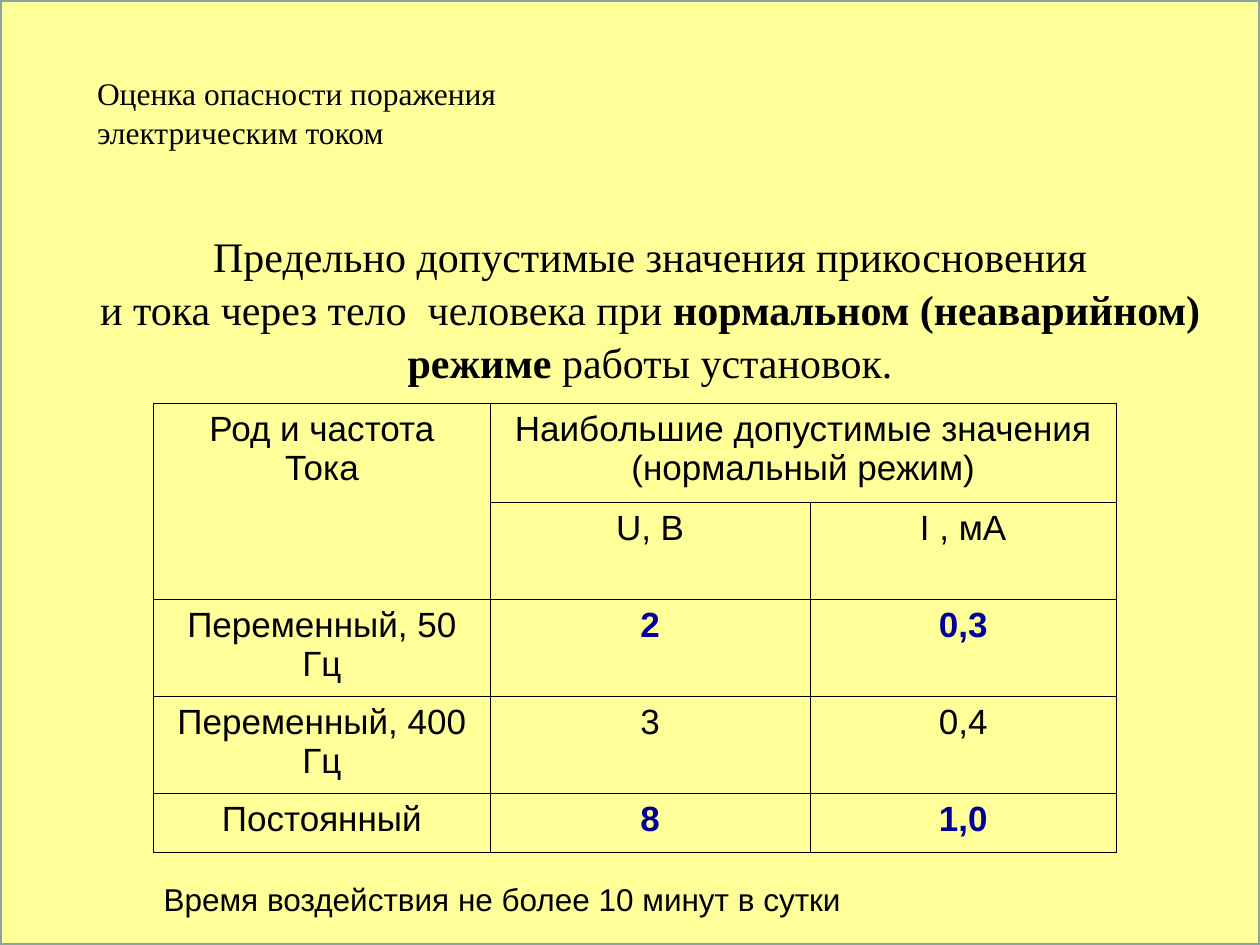
import pptx
import pptx.util
import pptx.oxml
import pptx.dml.color
import pptx.enum.shapes
import pptx.enum.text
from lxml import etree
from pptx.util import Inches

COLORS = {"paper": "FFFF99", "frame": "89A4A7", "text": "000000", "accent": "000099"}
SERIF, SANS = "Times New Roman", "Arial"
ALIGN = pptx.enum.text.PP_ALIGN
ANCHOR = pptx.enum.text.MSO_ANCHOR

TITLE = [[("Оценка опасности поражения", False)], [("электрическим током", False)]]
SUBJECT = [
    [("Предельно допустимые значения прикосновения", False)],
    [
        ("и тока через тело  человека при ", False),
        ("нормальном (неаварийном) режиме", True),
        (" работы установок.", False),
    ],
]
NOTE = [[("Время воздействия не более 10 минут в сутки", False)]]
TABLE_ROWS = [
    ["Род и частота\nТока", "Наибольшие допустимые значения (нормальный режим)", ""],
    ["", "U, В", "I , мА"],
    ["Переменный, 50 Гц", "2", "0,3"],
    ["Переменный, 400 Гц", "3", "0,4"],
    ["Постоянный", "8", "1,0"],
]
COLUMN_WIDTHS = [2.67, 2.54, 2.43]
ROW_HEIGHTS = [0.79, 0.77, 0.77, 0.77, 0.47]
MERGES = [((0, 0), (1, 0)), ((0, 1), (0, 2))]
ACCENT_ROWS = (2, 4)


def rgb(name):
    return pptx.dml.color.RGBColor.from_string(COLORS[name])


def write(frame, paragraphs, font, size, align, spacing=1.0, color="text"):
    for index, runs in enumerate(paragraphs):
        paragraph = frame.paragraphs[0] if index == 0 else frame.add_paragraph()
        paragraph.alignment = align
        paragraph.line_spacing = spacing
        paragraph.space_before = pptx.util.Pt(0)
        for text, bold in runs:
            run = paragraph.add_run()
            run.text = text
            run.font.name = font
            run.font.size = pptx.util.Pt(size)
            run.font.bold = bold
            run.font.color.rgb = rgb(color)


def place_text(shape, box, paragraphs, font, size, align, anchor=ANCHOR.TOP, wrap=True):
    shape.left, shape.top, shape.width, shape.height = map(Inches, box)
    frame = shape.text_frame
    frame.word_wrap = wrap
    frame.auto_size = pptx.enum.text.MSO_AUTO_SIZE.NONE
    frame.vertical_anchor = anchor
    write(frame, paragraphs, font, size, align, spacing=1.05)


def outline_cell(cell):
    properties = cell._tc.get_or_add_tcPr()
    for index, side in enumerate("LRTB"):
        line = etree.Element(pptx.oxml.ns.qn(f"a:ln{side}"), w=str(pptx.util.Pt(0.45)))
        fill = etree.SubElement(line, pptx.oxml.ns.qn("a:solidFill"))
        etree.SubElement(fill, pptx.oxml.ns.qn("a:srgbClr"), val=COLORS["text"])
        properties.insert(index, line)


def add_background(slide, width, height):
    shape = slide.shapes.add_shape(
        pptx.enum.shapes.MSO_SHAPE.RECTANGLE, 0, 0, width, height
    )
    shape.shadow.inherit = False
    shape.fill.solid()
    shape.fill.fore_color.rgb = rgb("paper")
    shape.line.color.rgb = rgb("frame")
    shape.line.width = pptx.util.Pt(2)
    return shape


def add_limits_table(slide):
    graphic = slide.shapes.add_table(
        len(ROW_HEIGHTS), len(COLUMN_WIDTHS), Inches(1.22), Inches(3.2),
        Inches(sum(COLUMN_WIDTHS)), Inches(sum(ROW_HEIGHTS)),
    )
    table = graphic.table
    table.first_row = table.horz_banding = False
    for column, width in zip(table.columns, COLUMN_WIDTHS):
        column.width = Inches(width)
    for row, height in zip(table.rows, ROW_HEIGHTS):
        row.height = Inches(height)
    for start, end in MERGES:
        table.cell(*start).merge(table.cell(*end))
    for row_index, texts in enumerate(TABLE_ROWS):
        for column_index, text in enumerate(texts):
            cell = table.cell(row_index, column_index)
            cell.fill.background()
            outline_cell(cell)
            if not text:
                continue
            accent = row_index in ACCENT_ROWS and column_index > 0
            paragraphs = [[(line, accent)] for line in text.split("\n")]
            write(cell.text_frame, paragraphs, SANS, 20, ALIGN.CENTER,
                  color="accent" if accent else "text")


def main():
    presentation = pptx.Presentation()
    presentation.slide_width = Inches(10)
    presentation.slide_height = Inches(7.5)
    slide = presentation.slides.add_slide(presentation.slide_layouts[5])
    title = slide.shapes.title
    background = add_background(
        slide, presentation.slide_width, presentation.slide_height
    )
    title._element.addprevious(background._element)
    add_limits_table(slide)
    subject = slide.shapes.add_textbox(0, 0, 0, 0)
    note = slide.shapes.add_textbox(0, 0, 0, 0)
    place_text(title, (0.67, 0.52, 8.86, 1.18), TITLE, SERIF, 18, ALIGN.LEFT, wrap=False)
    place_text(subject, (0.67, 1.79, 8.98, 1.3), SUBJECT, SERIF, 24, ALIGN.CENTER,
               anchor=ANCHOR.MIDDLE)
    place_text(note, (1.2, 6.92, 7.82, 0.4), NOTE, SANS, 18, ALIGN.LEFT)
    presentation.save("out.pptx")


if __name__ == "__main__":
    main()
